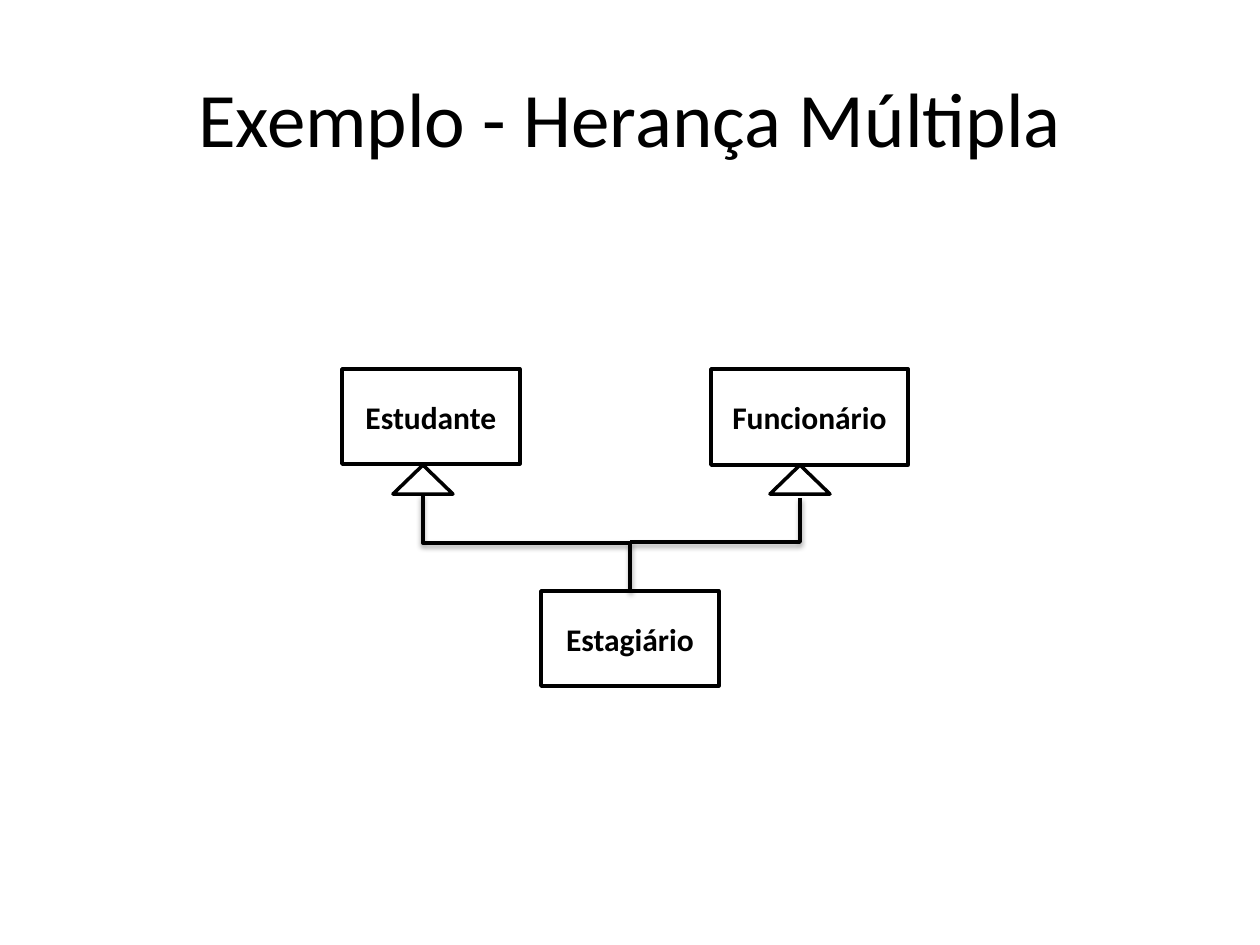
from lxml import etree
from pptx import Presentation
from pptx import util as u
from pptx.dml.color import RGBColor
from pptx.enum import shapes, text
from pptx.oxml import ns

PX = u.Inches(1) / 126
BLACK = RGBColor(0, 0, 0)
WHITE = RGBColor(255, 255, 255)
FONT = "Calibri"
LINE_WIDTH = u.Pt(2)


def emu(*lengths):
    return [u.Emu(round(length * PX)) for length in lengths]


def write(frame, words, size, bold=False):
    frame.text = words
    frame.word_wrap = True
    frame.vertical_anchor = text.MSO_ANCHOR.MIDDLE
    para = frame.paragraphs[0]
    para.alignment = text.PP_ALIGN.CENTER
    font = para.runs[0].font
    font.name, font.size, font.bold = FONT, u.Pt(size), bold
    font.color.rgb = BLACK


def add_title(page, words):
    title = page.shapes.title
    title.left, title.top, title.width, title.height = emu(63, 38, 1134, 157)
    write(title.text_frame, words, 44)


def add_outlined(page, kind, left, top, width, height):
    shape = page.shapes.add_shape(kind, *emu(left, top, width, height))
    shape.shadow.inherit = False
    shape.fill.solid()
    shape.fill.fore_color.rgb = WHITE
    shape.line.color.rgb = BLACK
    shape.line.width = LINE_WIDTH
    return shape


def add_class(page, name, left, top, width, height):
    box = add_outlined(page, shapes.MSO_SHAPE.RECTANGLE, left, top, width, height)
    write(box.text_frame, name, 18, bold=True)


def add_arrowhead(page, middle, top):
    width, height = 60, 29
    add_outlined(page, shapes.MSO_SHAPE.ISOSCELES_TRIANGLE,
                 middle - width / 2, top, width, height)


def add_shadow(connector):
    effects = etree.SubElement(connector._element.spPr, ns.qn("a:effectLst"))
    shadow = etree.SubElement(effects, ns.qn("a:outerShdw"), blurRad="40000",
                              dist="20000", dir="5400000", rotWithShape="0")
    color = etree.SubElement(shadow, ns.qn("a:srgbClr"), val=str(BLACK))
    etree.SubElement(color, ns.qn("a:alpha"), val="38000")


def add_vertical_elbow(page, start, end, preset):
    (x1, y1), (x2, y2) = start, end
    width, height = abs(y2 - y1), abs(x2 - x1)
    left = (x1 + x2 - width) / 2
    top = (y1 + y2 - height) / 2
    connector = page.shapes.add_connector(
        shapes.MSO_CONNECTOR.ELBOW, *emu(left, top, left + width, top + height))
    connector.line.color.rgb = BLACK
    connector.line.width = LINE_WIDTH
    properties = connector._element.spPr
    properties.find(ns.qn("a:prstGeom")).set("prst", preset)
    frame = properties.find(ns.qn("a:xfrm"))
    if x2 > x1:
        frame.set("rot", str(270 * 60000))
        frame.set("flipH", "1")
    else:
        frame.set("rot", str(90 * 60000))
    add_shadow(connector)


def main():
    deck = Presentation()
    deck.slide_width, deck.slide_height = emu(1260, 945)
    page = deck.slides.add_slide(deck.slide_layouts[5])

    add_title(page, "Exemplo - Herança Múltipla")
    add_class(page, "Estudante", 342, 369, 178, 95)
    add_class(page, "Funcionário", 711, 369, 197, 96)
    add_class(page, "Estagiário", 541, 591, 178, 95)
    for middle in (423, 800):
        add_arrowhead(page, middle, 465)
    add_vertical_elbow(page, (423, 495), (630, 591), "bentConnector3")
    add_vertical_elbow(page, (800, 498), (630, 542), "bentConnector2")

    deck.save("out.pptx")


if __name__ == "__main__":
    main()
